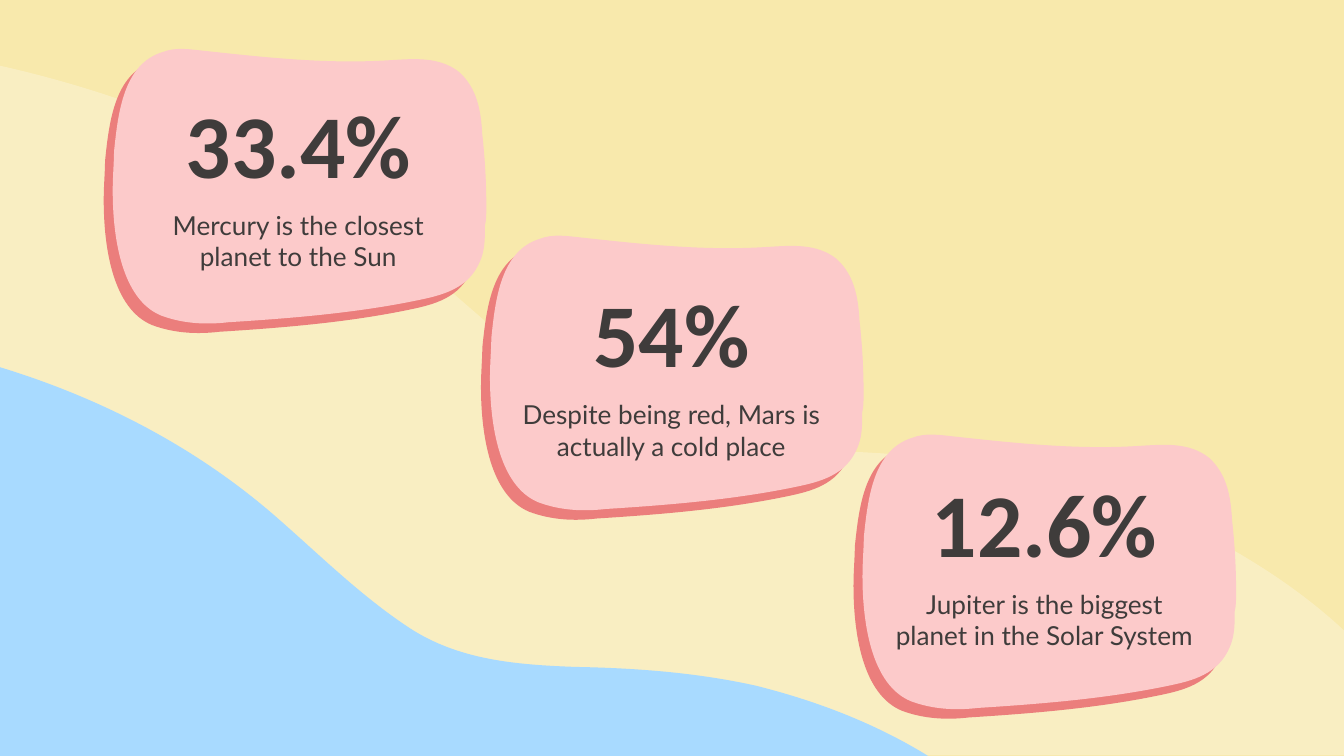
import dataclasses

import lxml.etree
import pptx
import pptx.dml.color
import pptx.enum.text
import pptx.oxml.ns
import pptx.util

Cm = pptx.util.Cm
qn = pptx.oxml.ns.qn


@dataclasses.dataclass(frozen=True)
class Theme:
    sky: str = "F8E9AC"
    haze: str = "FFFFFF"
    haze_opacity: int = 27
    water: str = "A8DAFF"
    card_edge: str = "EB7E7C"
    card_face: str = "FCCACA"
    ink: str = "3F3C3B"
    figure_font: str = "Calibri"
    figure_size: int = 48
    body_font: str = "Lato"
    body_size: int = 14


# Outlines in hundredths of an inch: a start point, then three points a curve
UNIT = 0.0254  # one outline unit in centimetres

WAVE = [
    (0, 0),
    (4, 1), (9, 2), (13, 3),
    (123, 29), (228, 76), (315, 148),
    (357, 183), (396, 221), (443, 251),
    (490, 281), (545, 285), (600, 287),
    (657, 288), (714, 292), (770, 304),
    (824, 317), (877, 336), (926, 364),
    (955, 381), (983, 401), (1008, 425),
]
WAVE_BASE = [(1008, 514), (0, 514)]

CARD = [
    (278, 118),
    (278, 100), (277, 82), (275, 64),
    (274, 46), (271, 30), (258, 18),
    (243, 6), (224, 8), (206, 9),
    (160, 12), (114, 7), (68, 2),
    (58, 1), (47, -1), (37, 3),
    (8, 12), (4, 48), (1, 77),
    (1, 85), (0, 95), (0, 106),
    (0, 142), (7, 187), (36, 199),
    (52, 205), (69, 206), (86, 204),
    (134, 201), (183, 197), (230, 187),
    (249, 183), (268, 177), (275, 154),
    (277, 147), (277, 140), (277, 132),
    (278, 128), (278, 123), (278, 118),
]


def bend(shape, point_count):
    """Turn the first line segments of a freeform, by threes, into curves."""
    lines = list(shape.element.iter(qn("a:lnTo")))[:point_count]
    for index in range(0, point_count, 3):
        curve = lxml.etree.Element(qn("a:cubicBezTo"))
        lines[index].addprevious(curve)
        for line in lines[index:index + 3]:
            curve.append(line[0])
            line.getparent().remove(line)


class SlideBuilder:
    def __init__(self, slide, theme):
        self.slide = slide
        self.theme = theme

    def background(self):
        fill = self.slide.background.fill
        fill.solid()
        fill.fore_color.rgb = pptx.dml.color.RGBColor.from_string(self.theme.sky)

    def outline(self, curves, left, top, color, base=(), stretch=(1, 1), opacity=100):
        points = [(Cm(x * UNIT * stretch[0]), Cm(y * UNIT * stretch[1]))
                  for x, y in [*curves, *base]]
        builder = self.slide.shapes.build_freeform(*points[0])
        builder.add_line_segments(points[1:], close=True)
        shape = builder.convert_to_shape(Cm(left), Cm(top))
        bend(shape, len(curves) - 1)
        shape.shadow.inherit = False
        shape.line.fill.background()
        shape.fill.solid()
        shape.fill.fore_color.rgb = pptx.dml.color.RGBColor.from_string(color)
        if opacity < 100:
            for color_element in shape.element.iter(qn("a:srgbClr")):
                lxml.etree.SubElement(
                    color_element, qn("a:alpha"), val=str(opacity * 1000))

    def wave(self, left, top, color, **options):
        self.outline(WAVE, left, top, color, base=WAVE_BASE, **options)

    def card(self, left, top):
        self.outline(CARD, left, top, self.theme.card_edge)
        self.outline(CARD, left + 0.17, top - 0.18, self.theme.card_face)

    def text(self, shape, text, left, top, height, font, size, bold, anchor):
        shape.left, shape.top = Cm(left), Cm(top)
        shape.width, shape.height = Cm(6.2), Cm(height)
        frame = shape.text_frame
        frame.text = text
        frame.word_wrap = True
        frame.auto_size = pptx.enum.text.MSO_AUTO_SIZE.NONE
        frame.vertical_anchor = anchor
        frame.margin_left = frame.margin_right = Cm(0.25)
        frame.margin_top = frame.margin_bottom = Cm(0.25)
        paragraph = frame.paragraphs[0]
        paragraph.alignment = pptx.enum.text.PP_ALIGN.CENTER
        paragraph.font.name = font
        paragraph.font.size = pptx.util.Pt(size)
        paragraph.font.bold = bold
        paragraph.font.color.rgb = pptx.dml.color.RGBColor.from_string(self.theme.ink)

    def text_box(self):
        return self.slide.shapes.add_textbox(0, 0, 0, 0)

    def title(self):
        """Return the title placeholder, raised above the shapes drawn so far."""
        shape = self.slide.shapes.title
        shape.element.getparent().append(shape.element)
        return shape

    def figure(self, shape, text, left, top):
        self.text(shape, text, left, top, 2.18, self.theme.figure_font,
                  self.theme.figure_size, True, pptx.enum.text.MSO_ANCHOR.BOTTOM)

    def description(self, text, left, top):
        self.text(self.text_box(), text, left, top, 1.65, self.theme.body_font,
                  self.theme.body_size, False, pptx.enum.text.MSO_ANCHOR.TOP)


# Card corner (cm), figure and description
FACTS = [
    ((1.96, 1.09), "33.4%", "Mercury is the closest planet to the Sun"),
    ((9.09, 4.62), "54%", "Despite being red, Mars is actually a cold place"),
    ((16.13, 8.38), "12.6%", "Jupiter is the biggest planet in the Solar System"),
]


def main():
    presentation = pptx.Presentation()
    presentation.slide_width = Cm(25.4)
    presentation.slide_height = Cm(14.29)
    theme = Theme()
    slide = presentation.slides.add_slide(presentation.slide_layouts[5])
    builder = SlideBuilder(slide, theme)

    # Landscape: one wave, drawn full size and again smaller and lower
    builder.background()
    builder.wave(-0.1, 1.22, theme.haze, opacity=theme.haze_opacity)
    builder.wave(-1.17, 6.63, theme.water, stretch=(0.79, 0.82))

    # Cards
    for corner, _, _ in FACTS:
        builder.card(*corner)

    # Texts step down to the right
    for index, (_, figure, description) in enumerate(FACTS):
        left = 2.54 + 7.05 * index
        top = 1.78 + 3.58 * index
        shape = builder.title() if index == 0 else builder.text_box()
        builder.figure(shape, figure, left, top)
        builder.description(description, left, top + 1.93)

    presentation.save("out.pptx")


if __name__ == "__main__":
    main()
